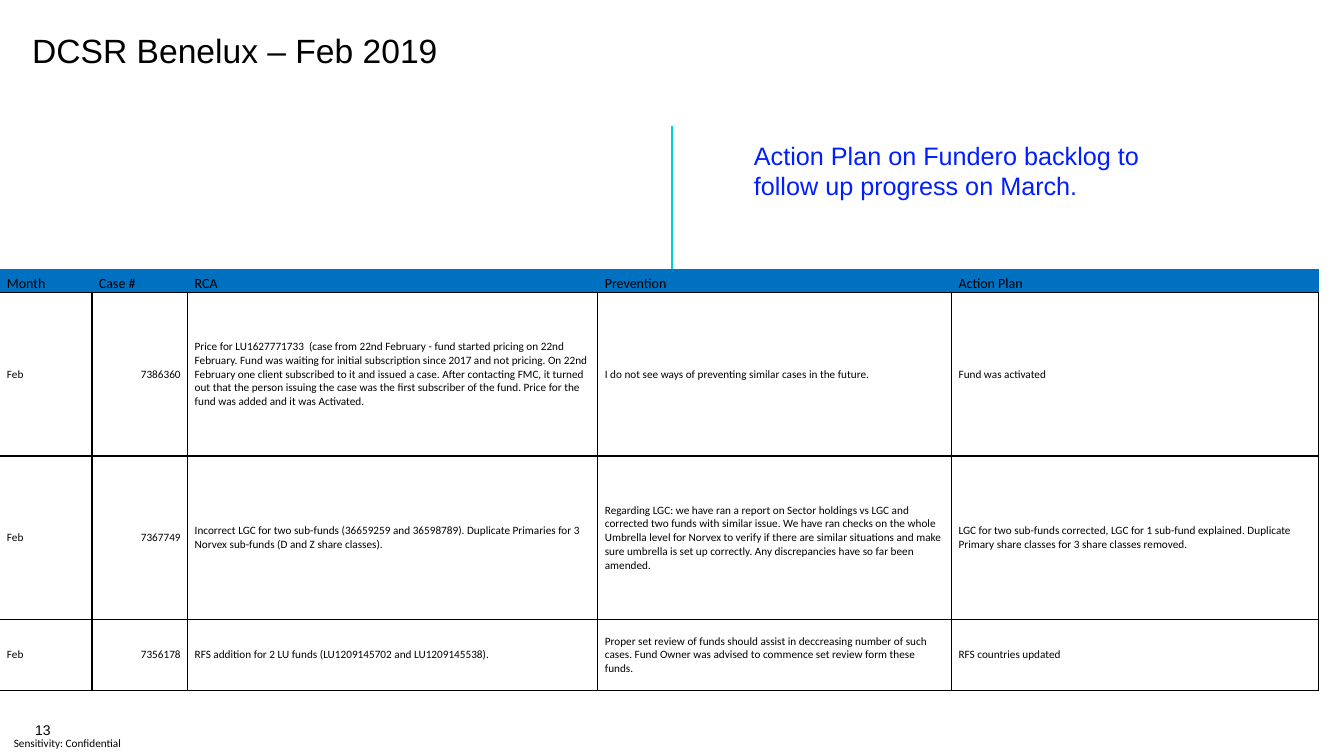
from lxml import etree
from pptx import Presentation
from pptx import util as u
from pptx.dml.color import RGBColor
from pptx.enum import shapes, text
from pptx.oxml import ns

Pt = u.Pt
COLORS = {
    "black": "000000",
    "white": "FFFFFF",
    "header": "0070C0",
    "rule": "00D0D3",
    "callout": "001EFF",
}
COLUMNS = [65.7, 68.4, 293, 252.7, 262.1]
ROWS = [17.2, 116.8, 116.8, 50.7]
HEADINGS = ["Month", "Case #", "RCA", "Prevention", "Action Plan"]
CASES = [
    ["Feb", "7386360",
     "Price for LU1627771733  (case from 22nd February - fund started pricing on "
     "22nd February. Fund was waiting for initial subscription since 2017 and not "
     "pricing. On 22nd February one client subscribed to it and issued a case. After "
     "contacting FMC, it turned out that the person issuing the case was the first "
     "subscriber of the fund. Price for the fund was added and it was Activated.",
     "I do not see ways of preventing similar cases in the future.",
     "Fund was activated"],
    ["Feb", "7367749",
     "Incorrect LGC for two sub-funds (36659259 and 36598789). Duplicate Primaries "
     "for 3 Norvex sub-funds (D and Z share classes).",
     "Regarding LGC: we have ran a report on Sector holdings vs LGC and corrected two "
     "funds with similar issue. We have ran checks on the whole Umbrella level for "
     "Norvex to verify if there are similar situations and make sure umbrella is set "
     "up correctly. Any discrepancies have so far been amended.",
     "LGC for two sub-funds corrected, LGC for 1 sub-fund explained. Duplicate "
     "Primary share classes for 3 share classes removed."],
    ["Feb", "7356178",
     "RFS addition for 2 LU funds (LU1209145702 and LU1209145538).",
     "Proper set review of funds should assist in deccreasing number of such cases. "
     "Fund Owner was advised to commence set review form these funds.",
     "RFS countries updated"],
]


def color(name):
    return RGBColor.from_string(COLORS[name])


def style(para, size, font, name="black"):
    para.font.size = Pt(size)
    para.font.name = font
    para.font.bold = False
    para.font.color.rgb = color(name)


def add_text(page, box, words, size, font="Arial", name="black",
             anchor=text.MSO_ANCHOR.TOP, inset=(0, 0), wrap=True):
    frame = page.shapes.add_textbox(*map(Pt, box)).text_frame
    frame.word_wrap = wrap
    frame.vertical_anchor = anchor
    frame.margin_left = frame.margin_right = Pt(inset[0])
    frame.margin_top = frame.margin_bottom = Pt(inset[1])
    para = frame.paragraphs[0]
    para.text = words
    style(para, size, font, name)
    return para


def add_footer(page, box):
    left, top, width, height = box
    add_text(page, (left + 25.2, top, 43.2, 19.4), "13", 10,
             anchor=text.MSO_ANCHOR.BOTTOM, wrap=False)
    label = add_text(page, (left, top + height - 18, width, 18),
                     "Sensitivity: Confidential", 8, "Calibri",
                     anchor=text.MSO_ANCHOR.MIDDLE)
    label.alignment = text.PP_ALIGN.CENTER


def add_divider(page, box):
    left, top, width, height = box
    middle = left + width / 2
    line = page.shapes.add_connector(
        shapes.MSO_CONNECTOR.STRAIGHT,
        Pt(middle), Pt(top), Pt(middle), Pt(top + height))
    line.line.color.rgb = color("rule")
    line.line.width = Pt(1)
    etree.SubElement(line._element.spPr, ns.qn("a:effectLst"))


def set_borders(cell, visible):
    properties = cell._tc.get_or_add_tcPr()
    for index, side in enumerate("LRTB"):
        border = etree.Element(ns.qn("a:ln" + side), w=str(Pt(1)))
        if side in visible:
            fill = etree.SubElement(border, ns.qn("a:solidFill"))
            etree.SubElement(fill, ns.qn("a:srgbClr"), val=COLORS["black"])
        else:
            etree.SubElement(border, ns.qn("a:noFill"))
        properties.insert(index, border)


def fill_cell(cell, words, row, column):
    header = row == 0
    cell.fill.solid()
    cell.fill.fore_color.rgb = color("header" if header else "white")
    cell.margin_left = cell.margin_right = Pt(5)
    cell.margin_top = cell.margin_bottom = 0
    cell.vertical_anchor = text.MSO_ANCHOR.BOTTOM if header else text.MSO_ANCHOR.MIDDLE
    para = cell.text_frame.paragraphs[0]
    para.text = words
    style(para, 10 if header else 8, "Calibri")
    if not header and column == 1:
        para.alignment = text.PP_ALIGN.RIGHT
    set_borders(cell, "B" if header else "RTB" if column == 0 else "LRTB")


def add_cases(page, box):
    content = [HEADINGS] + CASES
    table = page.shapes.add_table(len(ROWS), len(COLUMNS), *map(Pt, box)).table
    table.first_row = table.horz_banding = False
    for column, width in zip(table.columns, COLUMNS):
        column.width = Pt(width)
    for row, height in zip(table.rows, ROWS):
        row.height = Pt(height)
    for row, line in enumerate(content):
        for column, words in enumerate(line):
            fill_cell(table.cell(row, column), words, row, column)


def main():
    deck = Presentation()
    deck.slide_width, deck.slide_height = Pt(960), Pt(540)
    page = deck.slides.add_slide(deck.slide_layouts[6])
    add_footer(page, (0, 508.3, 96.5, 31.7))
    add_divider(page, (0, 90, 960, 396))
    title = add_text(page, (23, 24.5, 913, 36), "DCSR Benelux – Feb 2019", 24)
    title.line_spacing = 0.9
    add_cases(page, (0, 191.8, sum(COLUMNS), sum(ROWS)))
    add_text(page, (531.4, 96.5, 294.5, 51),
             "Action Plan on Fundero backlog to follow up progress on March.",
             18, name="callout", inset=(7.2, 3.6))
    deck.save("out.pptx")


if __name__ == "__main__":
    main()
